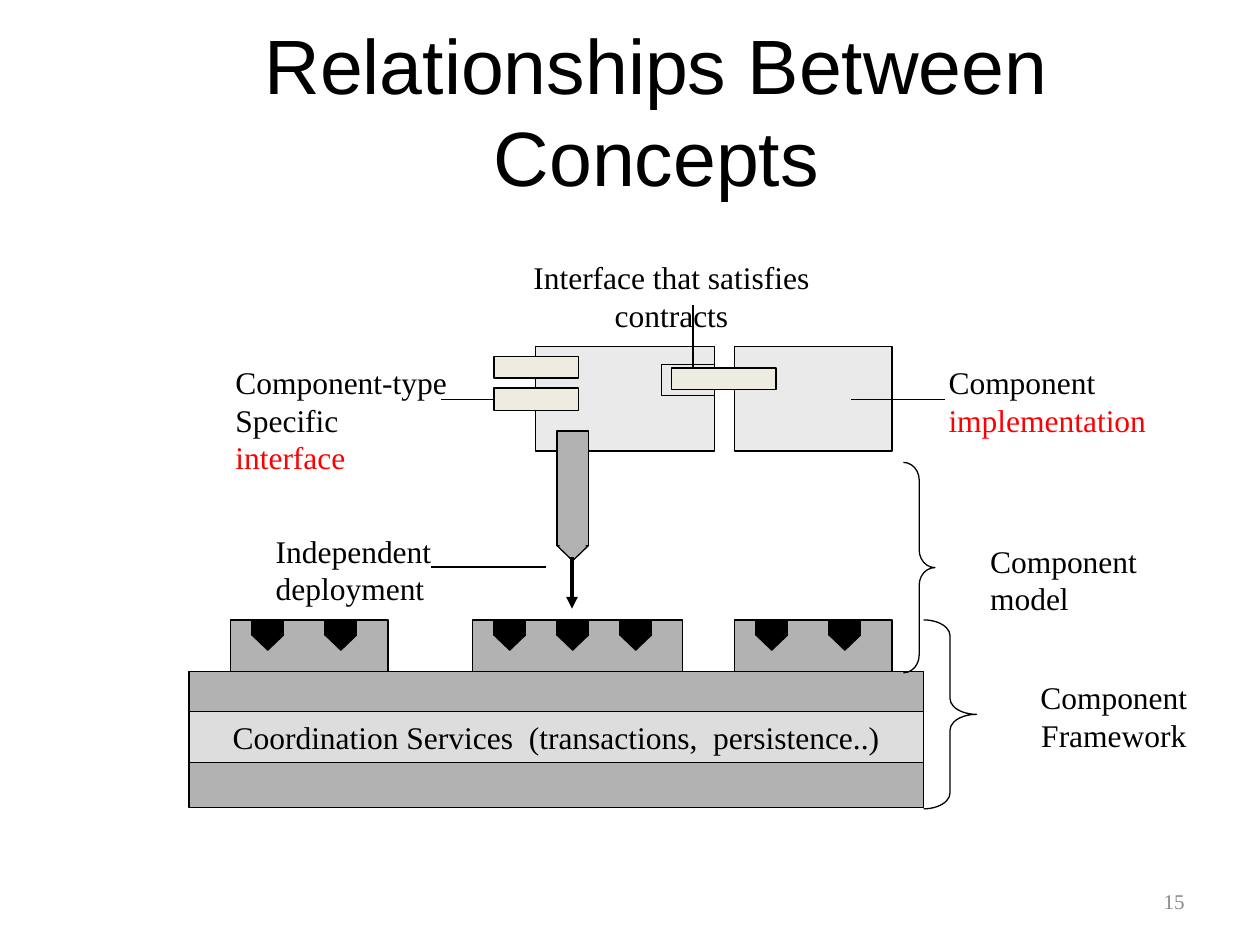
from dataclasses import dataclass

from lxml.etree import SubElement
from pptx import Presentation
from pptx.dml.color import RGBColor
from pptx.enum.shapes import MSO_CONNECTOR, MSO_SHAPE
from pptx.enum.text import MSO_ANCHOR, MSO_AUTO_SIZE, PP_ALIGN
from pptx.oxml.ns import qn
from pptx.util import Inches, Pt


@dataclass(frozen=True)
class Theme:
    """Colours, fonts and sizes of the slide."""
    ink: str = "000000"
    accent: str = "FF0000"
    framework: str = "B2B2B2"
    services: str = "DDDDDD"
    component: str = "EAEAEA"
    interface: str = "EEECE1"
    muted: str = "898989"
    title_font: str = "Arial"
    body_font: str = "Times New Roman"
    title_size: float = 44
    body_size: float = 18
    number_size: float = 12
    thin: float = 0.75
    thick: float = 2.25


THEME = Theme()


def box(left, top, width, height):
    """Return a left, top, width, height box in inches as lengths."""
    return [Inches(value) for value in (left, top, width, height)]


def add_run(paragraph, text, color=THEME.ink, size=THEME.body_size, font=THEME.body_font):
    """Add one formatted run to a paragraph."""
    run = paragraph.add_run()
    run.text = text
    run.font.name = font
    run.font.size = Pt(size)
    run.font.color.rgb = RGBColor.from_string(color)


def style_line(line, color=THEME.ink, width=THEME.thin):
    """Set the colour and width of a line."""
    line.color.rgb = RGBColor.from_string(color)
    line.width = Pt(width)


def add_title(slide, text):
    """Place and fill the title placeholder."""
    title = slide.shapes.title
    title.left, title.top, title.width, title.height = box(0.67, 0.15, 9.08, 1.44)
    frame = title.text_frame
    frame.auto_size = MSO_AUTO_SIZE.NONE
    frame.vertical_anchor = MSO_ANCHOR.MIDDLE
    paragraph = frame.paragraphs[0]
    paragraph.alignment = PP_ALIGN.CENTER
    add_run(paragraph, text, size=THEME.title_size, font=THEME.title_font)


def add_label(slide, place, paragraphs, align=PP_ALIGN.LEFT):
    """Add a text box from paragraphs given as lists of (text, colour) runs."""
    frame = slide.shapes.add_textbox(*box(*place)).text_frame
    frame.word_wrap = True
    for index, runs in enumerate(paragraphs):
        paragraph = frame.add_paragraph() if index else frame.paragraphs[0]
        paragraph.alignment = align
        for text, color in runs:
            if text == "\n":
                paragraph.add_line_break()
            else:
                add_run(paragraph, text, color)


def add_block(shapes, place, fill, line=THEME.ink, kind=MSO_SHAPE.RECTANGLE):
    """Add a filled and outlined preset shape."""
    shape = shapes.add_shape(kind, *box(*place))
    shape.shadow.inherit = False
    shape.fill.solid()
    shape.fill.fore_color.rgb = RGBColor.from_string(fill)
    style_line(shape.line, line)
    return shape


def add_plug(shapes, left, top, fill, line=THEME.ink):
    """Add a plug: a short bar ending in a downward point."""
    point = add_block(shapes, (left, top + 0.12, 0.25, 0.12), fill, line,
                      MSO_SHAPE.ISOSCELES_TRIANGLE)
    point.rotation = 180
    add_block(shapes, (left, top, 0.25, 0.12), fill, line)


def add_host(slide, left, width, count):
    """Add a framework block with evenly spaced plugs on its top edge."""
    add_block(slide.shapes, (left, 4.92, width, 0.42), THEME.framework)
    step = (width - 0.67) / (count - 1)
    for index in range(count):
        group = slide.shapes.add_group_shape()
        add_plug(group.shapes, left + 0.17 + index * step, 4.92, THEME.ink)


def add_deployed_plug(slide):
    """Add the long plug that leaves the component."""
    shapes = slide.shapes.add_group_shape().shapes
    for top, line in ((3.46, THEME.ink), (3.43, THEME.framework)):
        add_block(shapes, (4.42, top, 0.25, 0.75), THEME.framework, line)
        add_plug(shapes, 4.42, top + 0.75, THEME.framework, line)
    builder = shapes.build_freeform(Inches(4.42), Inches(4.33))
    corners = [(4.42, 3.42), (4.67, 3.42), (4.67, 4.33)]
    builder.add_line_segments([(Inches(x), Inches(y)) for x, y in corners], close=False)
    outline = builder.convert_to_shape()
    outline.shadow.inherit = False
    outline.fill.background()
    style_line(outline.line)


def add_line(slide, start, end, width=THEME.thin, arrow=False):
    """Add a straight line, with an arrowhead at its end on request."""
    points = [Inches(value) for value in (*start, *end)]
    connector = slide.shapes.add_connector(MSO_CONNECTOR.STRAIGHT, *points)
    style_line(connector.line, width=width)
    if arrow:
        SubElement(connector.line._get_or_add_ln(), qn("a:tailEnd"), type="triangle")
    SubElement(connector._element.spPr, qn("a:effectLst"))
    return connector


def add_brace(slide, place, curve):
    """Add an unfilled right brace."""
    brace = slide.shapes.add_shape(MSO_SHAPE.RIGHT_BRACE, *box(*place))
    brace.shadow.inherit = False
    brace.adjustments[0] = curve
    brace.fill.background()
    style_line(brace.line)


def add_components(slide):
    """Add the two components, their interfaces and their callouts."""
    shapes = slide.shapes
    for left, width in ((4.25, 1.42), (5.83, 1.25)):
        add_block(shapes, (left, 2.75, width, 0.83), THEME.component)
    add_block(shapes, (3.92, 2.83, 0.67, 0.17), THEME.interface)
    specific = add_block(shapes, (3.92, 3.08, 0.67, 0.18), THEME.interface)
    add_block(shapes, (5.25, 2.89, 0.42, 0.25), THEME.component)
    add_block(shapes, (5.33, 2.92, 0.83, 0.17), THEME.interface)
    add_line(slide, (7.5, 3.17), (6.75, 3.17))
    add_line(slide, (5.5, 2.42), (5.5, 2.92))
    add_line(slide, (3.5, 3.17), (3.92, 3.17)).end_connect(specific, 1)


def add_framework(slide):
    """Add the host blocks, the platform and the coordination services."""
    for left, width, count in ((1.83, 1.25, 2), (3.75, 1.67, 3), (5.83, 1.25, 2)):
        add_host(slide, left, width, count)
    add_block(slide.shapes, (1.5, 5.33, 5.83, 1.08), THEME.framework)
    services = add_block(slide.shapes, (1.5, 5.65, 5.83, 0.4), THEME.services)
    paragraph = services.text_frame.paragraphs[0]
    paragraph.alignment = PP_ALIGN.CENTER
    add_run(paragraph, "Coordination Services  (transactions,  persistence..)")


def add_labels(slide):
    """Add the labels around the diagram."""
    ink, accent = THEME.ink, THEME.accent
    add_label(slide, (3.66, 2, 3.34, 0.4),
              [[("Interface that satisfies contracts", ink)]], PP_ALIGN.CENTER)
    add_label(slide, (7.43, 2.83, 1.8, 0.7),
              [[("Component ", ink), ("\n", ink), ("implementation", accent)]])
    add_label(slide, (7.76, 4.25, 1.43, 0.7), [[("Component", ink)], [("model", ink)]])
    add_label(slide, (2.09, 4.17, 1.5, 0.7), [[("Independent", ink)], [("deployment", ink)]])
    add_label(slide, (1.77, 2.83, 1.94, 0.7),
              [[("Component-type", ink)], [("Specific ", ink), ("interface", accent)]])
    add_label(slide, (8.09, 5.33, 1.5, 0.7),
              [[("Component", ink)], [("Framework", ink)]], PP_ALIGN.CENTER)


def add_slide_number(slide, number):
    """Add the slide number at the lower right."""
    frame = slide.shapes.add_textbox(*box(7.17, 6.95, 2.33, 0.4)).text_frame
    frame.word_wrap = True
    frame.vertical_anchor = MSO_ANCHOR.MIDDLE
    paragraph = frame.paragraphs[0]
    paragraph.alignment = PP_ALIGN.RIGHT
    add_run(paragraph, number, THEME.muted, THEME.number_size)


def main():
    """Build the slide and save it."""
    presentation = Presentation()
    presentation.slide_width, presentation.slide_height = Inches(10), Inches(7.5)
    slide = presentation.slides.add_slide(presentation.slide_layouts[5])
    add_title(slide, "Relationships Between Concepts")
    add_components(slide)
    add_framework(slide)
    add_deployed_plug(slide)
    add_line(slide, (3.42, 4.5), (4.33, 4.5))
    add_line(slide, (4.54, 4.42), (4.54, 4.83), THEME.thick, arrow=True)
    add_brace(slide, (7.17, 3.67, 0.25, 1.67), 0.56)
    add_brace(slide, (7.33, 4.92, 0.42, 1.5), 0.3)
    add_labels(slide)
    add_slide_number(slide, "15")
    presentation.save("out.pptx")


if __name__ == "__main__":
    main()
